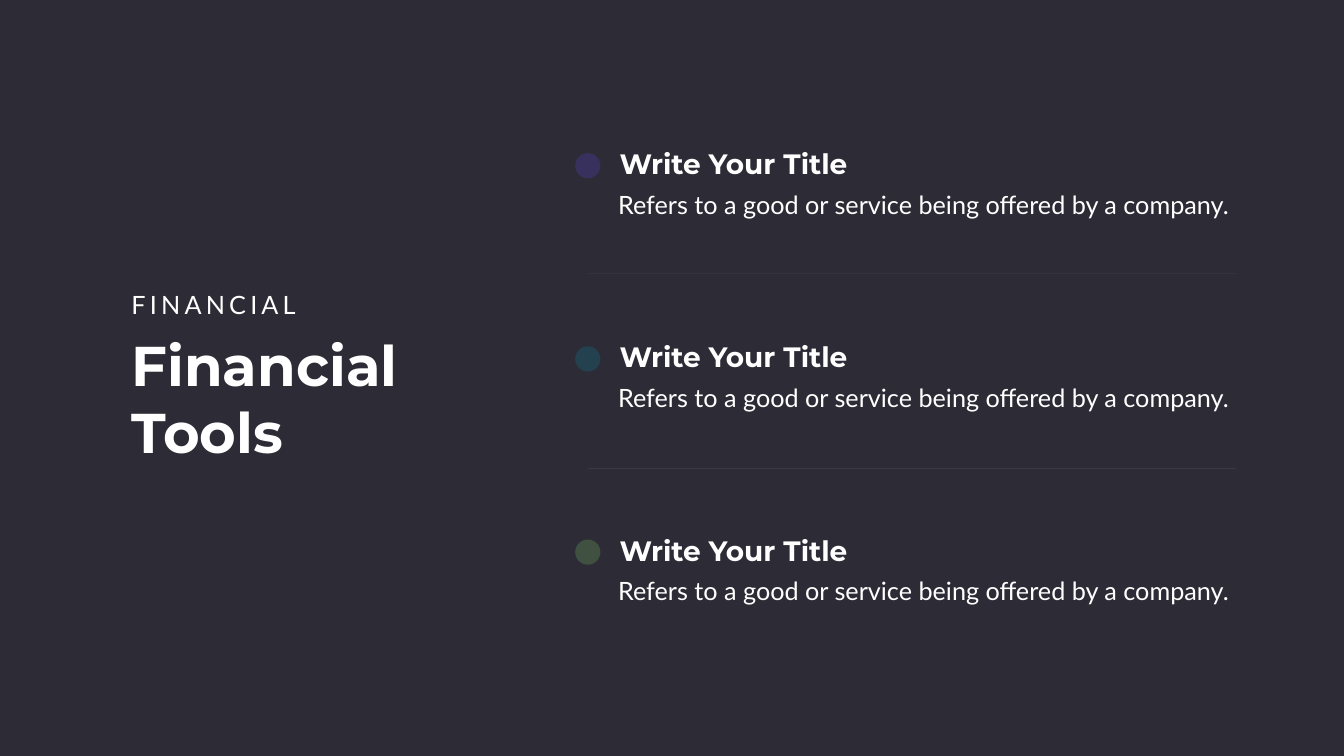
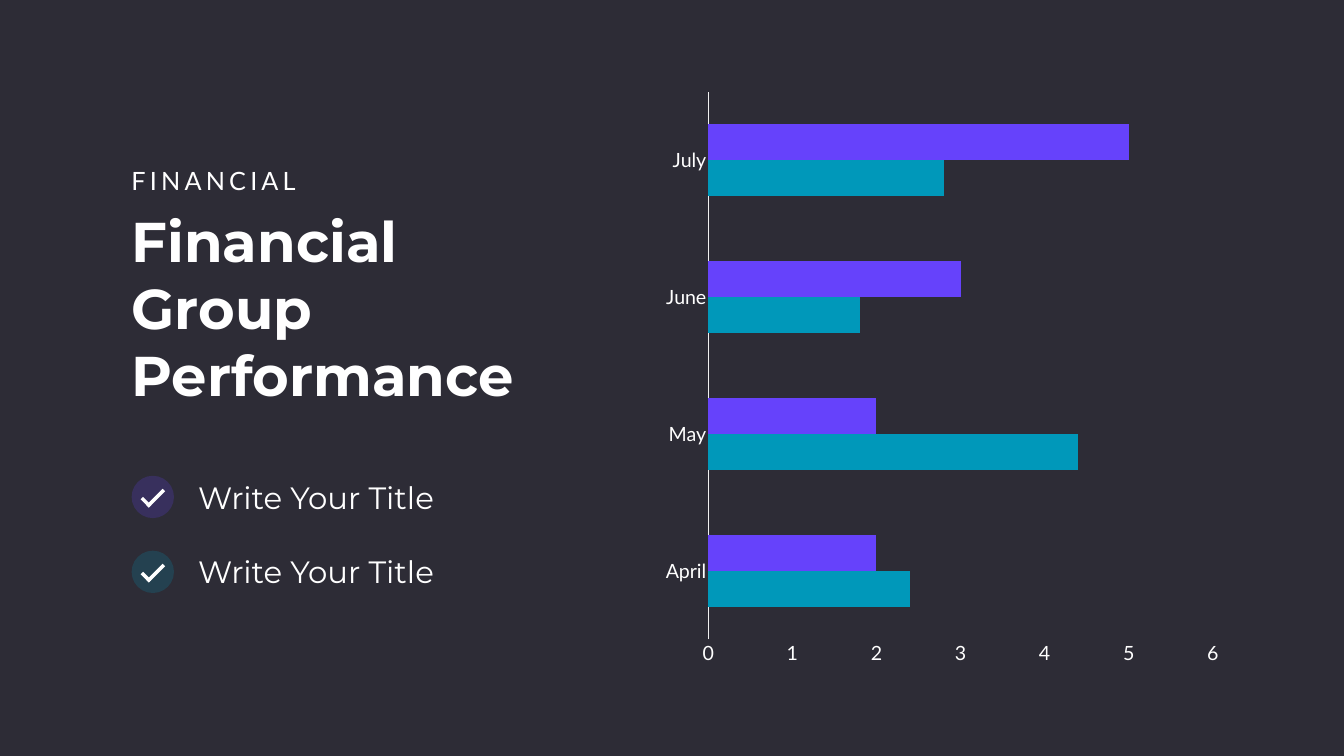
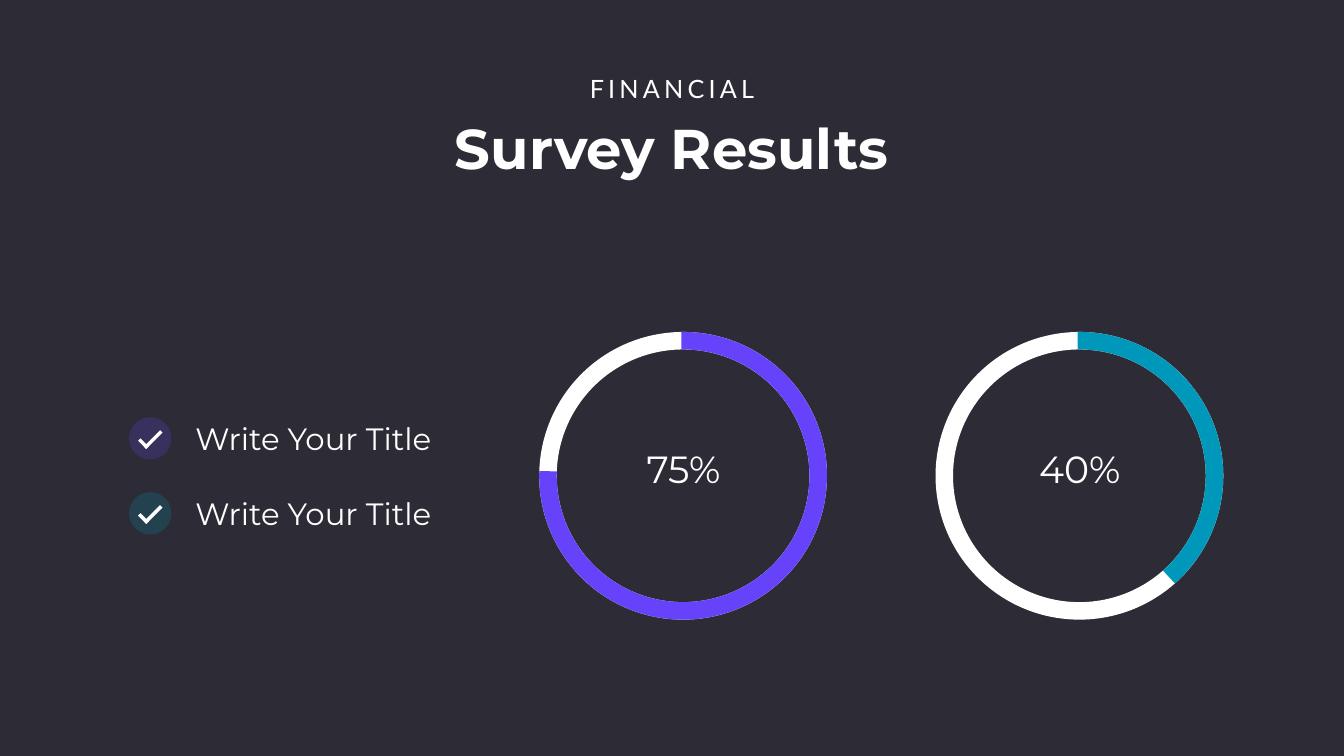
from lxml import etree
from pptx import Presentation
from pptx.chart.data import CategoryChartData
from pptx.dml.color import RGBColor
from pptx.enum.chart import XL_CHART_TYPE, XL_TICK_MARK
from pptx.enum.shapes import MSO_CONNECTOR, MSO_SHAPE
from pptx.enum.text import MSO_ANCHOR, MSO_AUTO_SIZE, PP_ALIGN
from pptx.oxml.ns import qn
from pptx.util import Pt

ARC, OVAL, RECT = MSO_SHAPE.ARC, MSO_SHAPE.OVAL, MSO_SHAPE.RECTANGLE
STRAIGHT = MSO_CONNECTOR.STRAIGHT
LEFT, CENTER = PP_ALIGN.LEFT, PP_ALIGN.CENTER
TOP, NO_FIT = MSO_ANCHOR.TOP, MSO_AUTO_SIZE.NONE
BAR_CLUSTERED, NO_TICK = XL_CHART_TYPE.BAR_CLUSTERED, XL_TICK_MARK.NONE

SLIDE_W, SLIDE_H = 1919.52, 1080
TITLE_ONLY = 5
DARK, WHITE, AXIS_GREY = "2D2C36", "FFFFFF", "F0F0F0"
PURPLE, TEAL, GREEN = "6642FB", "0098BA", "90E774"
HEAD_FONT, BODY_FONT = "Montserrat", "Lato"
TINT = 20
MARGIN = 180.72
ARC_START = 161.56


def rgb(color):
    return RGBColor.from_string(color)


def pts(*lengths):
    return [Pt(length) for length in lengths]


def set_alpha(sp, percent):
    for clr in sp._element.spPr.iter(qn("a:srgbClr")):
        etree.SubElement(clr, qn("a:alpha"), val=str(percent * 1000))


def style_font(font, size, name=BODY_FONT, bold=False):
    font.size, font.name, font.bold = Pt(size), name, bold
    font.color.rgb = rgb(WHITE)


class Deck:
    def __init__(self):
        self.prs = Presentation()
        self.prs.slide_width, self.prs.slide_height = pts(SLIDE_W, SLIDE_H)
        fill = self.prs.slide_master.background.fill
        fill.solid()
        fill.fore_color.rgb = rgb(DARK)
        self.slide = None

    def add_slide(self, title, box, align=LEFT):
        """Start a slide with its title and the spaced caption above it."""
        self.slide = self.prs.slides.add_slide(self.prs.slide_layouts[TITLE_ONLY])
        sp = self.slide.shapes.title
        sp.left, sp.top, sp.width, sp.height = pts(*box)
        self.fill_text(sp.text_frame, title, 80, HEAD_FONT, True, align)
        x, y, w, _ = box
        caption_w = 265
        if align == CENTER:
            x += (w - caption_w) / 2
        r = self.text("FINANCIAL", (x, y - 58.5, caption_w, 51), 36, align=align)
        r._r.get_or_add_rPr().set("spc", "600")

    def fill_text(self, tf, text, size, font, bold, align, inset=(7.2, 3.6)):
        tf.word_wrap = True
        tf.auto_size = NO_FIT
        tf.vertical_anchor = TOP
        tf.margin_left = tf.margin_right = Pt(inset[0])
        tf.margin_top = tf.margin_bottom = Pt(inset[1])
        p = tf.paragraphs[0]
        p.alignment = align
        r = p.add_run()
        r.text = text
        style_font(r.font, size, font, bold)
        return r

    def text(self, text, box, size, font=BODY_FONT, bold=False, align=LEFT,
             inset=(7.2, 3.6)):
        tf = self.slide.shapes.add_textbox(*pts(*box)).text_frame
        return self.fill_text(tf, text, size, font, bold, align, inset)

    def shape(self, kind, box, fill=None, line=None, alpha=None, rotation=0):
        sp = self.slide.shapes.add_shape(kind, *pts(*box))
        sp.shadow.inherit = False
        sp.rotation = rotation
        if fill:
            sp.fill.solid()
            sp.fill.fore_color.rgb = rgb(fill)
        else:
            sp.fill.background()
        if line:
            sp.line.color.rgb = rgb(line)
            sp.line.width = Pt(25)
        else:
            sp.line.fill.background()
        if alpha:
            set_alpha(sp, alpha)
        return sp

    def divider(self, x1, x2, y):
        sp = self.slide.shapes.add_connector(STRAIGHT, *pts(x1, y, x2, y))
        sp.line.color.rgb = rgb(WHITE)
        sp.line.width = Pt(0.5)
        set_alpha(sp, 10)
        etree.SubElement(sp._element.spPr, qn("a:effectLst"))

    def tool(self, y, color):
        """Dot, heading and one line of description."""
        self.text("Refers to a good or service being offered by a company.",
                  (865.44, y + 55.5, 928, 61), 36, inset=(17.28, 8.64))
        self.text("Write Your Title", (877.68, y, 408, 55.5), 40, HEAD_FONT, True)
        self.shape(OVAL, (821.5, y + 12.75, 36, 36), color, alpha=TINT)

    def checklist(self, x, y, width):
        for i, color in enumerate((PURPLE, TEAL)):
            top = y + i * 107
            self.text("Write Your Title", (x + 87.84, top, width, 60.5), 44, HEAD_FONT)
            self.shape(OVAL, (x, top, 60.5, 60.5), color, alpha=TINT)
            self.shape(RECT, (x + 12.25, top + 35.25, 16.5, 5), WHITE, rotation=45)
            self.shape(RECT, (x + 18, top + 29.5, 33, 5), WHITE, rotation=315)

    def ring(self, x, y, label, color, arc_end):
        box = (x, y, 386, 386)
        self.shape(OVAL, box, line=WHITE)
        arc = self.shape(ARC, box, line=color)
        arc.adjustments[0] = ARC_START
        arc.adjustments[1] = arc_end
        self.shape(OVAL, (x + 26.5, y + 26, 337.7, 337.7), DARK)
        self.text(label, (x + 68.4, y + 146.2, 250.5, 72.7), 54, HEAD_FONT, align=CENTER)

    def bar_chart(self, box, categories, series):
        """Clustered bars; series holds (name, values, color)."""
        data = CategoryChartData()
        data.categories = categories
        for name, values, _ in series:
            data.add_series(name, values)
        chart = self.slide.shapes.add_chart(BAR_CLUSTERED, *pts(*box), data).chart
        chart.has_title = chart.has_legend = False
        style_font(chart.font, 28)
        plot = chart.plots[0]
        plot.gap_width, plot.overlap, plot.vary_by_categories = 182, 0, False
        for ser, (_, _, color) in zip(plot.series, series):
            ser.format.fill.solid()
            ser.format.fill.fore_color.rgb = rgb(color)
        cat, val = chart.category_axis, chart.value_axis
        for axis in (cat, val):
            axis.has_major_gridlines = False
            axis.major_tick_mark = axis.minor_tick_mark = NO_TICK
            style_font(axis.tick_labels.font, 28)
        cat.format.line.color.rgb = rgb(AXIS_GREY)
        cat.format.line.width = Pt(0.75)
        val.format.line.fill.background()
        val.minimum_scale, val.maximum_scale, val.major_unit = 0, 6, 1


def tools_slide(deck):
    deck.add_slide("Financial Tools", (MARGIN, 468.72, 444, 201))
    for i, color in enumerate((PURPLE, TEAL, GREEN)):
        deck.tool(206 + i * 276, color)
    for y in (391, 669.5):
        deck.divider(839.5, 1765.5, y)


def performance_slide(deck):
    deck.add_slide("Financial Group Performance", (MARGIN, 291.5, 660, 201))
    deck.checklist(188, 679.7, 425.5)
    deck.bar_chart((934.5, 113.75, 822.25, 853.2), ("April", "May", "June", "July"), (
        ("Series 1", (2.4, 4.4, 1.8, 2.8), TEAL),
        ("Series 2", (2, 2, 3, 5), PURPLE),
    ))


def survey_slide(deck):
    width = 1301
    deck.add_slide("Survey Results", ((SLIDE_W - width) / 2, 159.1, width, 104.4), CENTER)
    deck.checklist(184.3, 596, 386)
    deck.ring(782.6, 486.7, "75%", PURPLE, 109.16)
    deck.ring(1348.6, 486.7, "40%", TEAL, 29.1)


def main():
    deck = Deck()
    tools_slide(deck)
    performance_slide(deck)
    survey_slide(deck)
    deck.prs.save("out.pptx")


if __name__ == "__main__":
    main()
